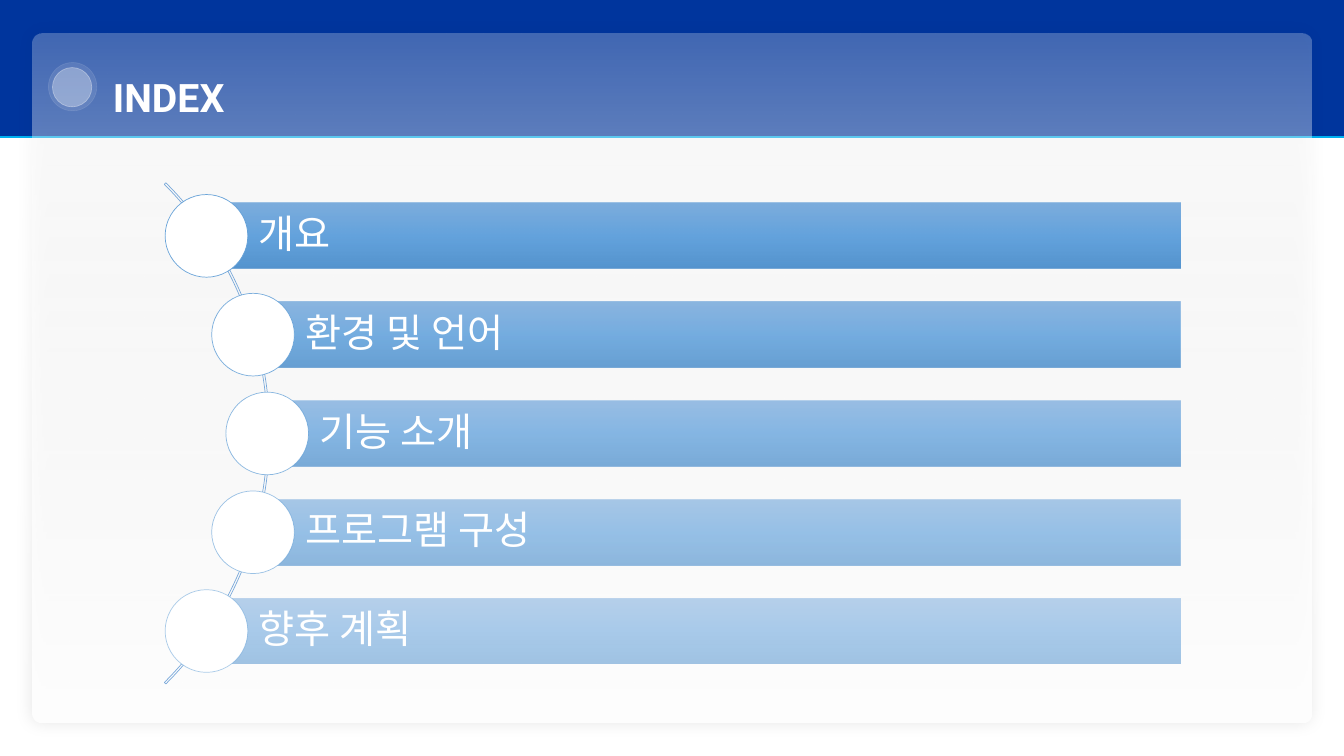
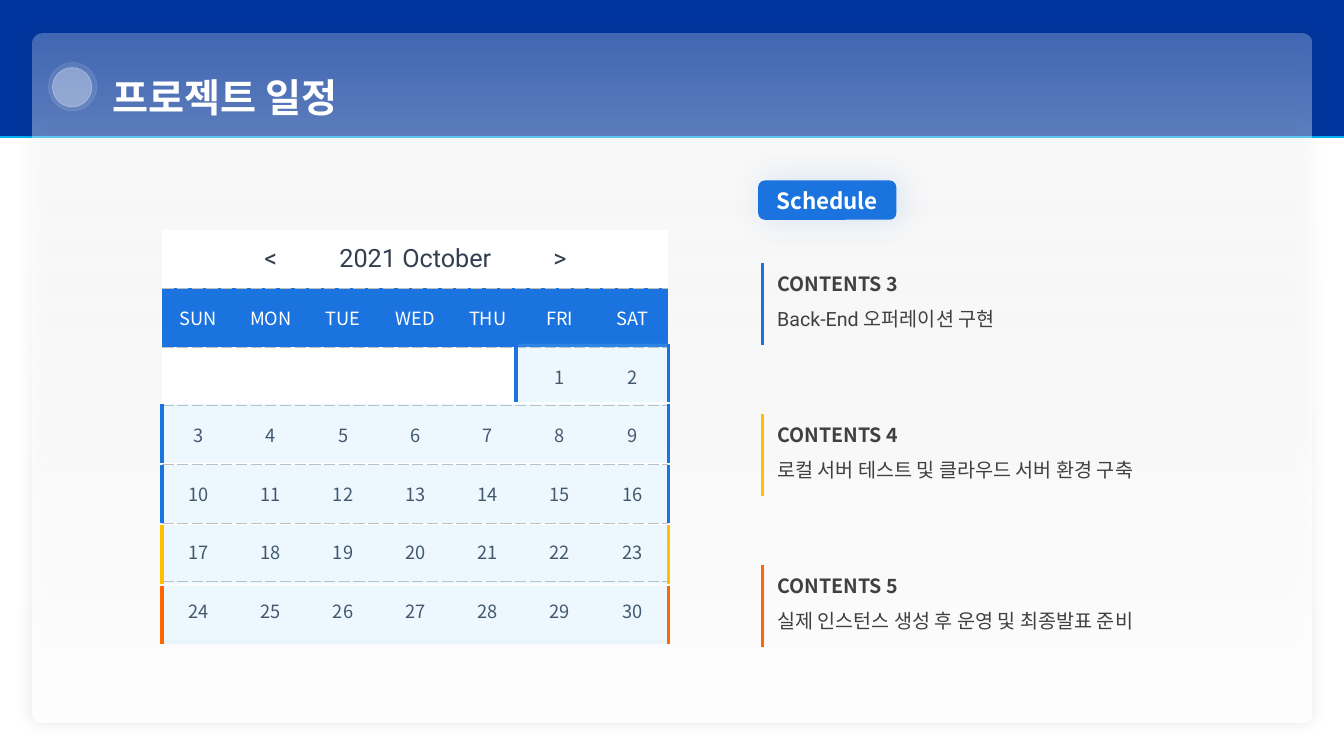
from dataclasses import dataclass
from math import sqrt

from lxml.etree import SubElement
from pptx import Presentation
from pptx.dml.color import RGBColor
from pptx.enum.shapes import MSO_CONNECTOR, MSO_SHAPE
from pptx.enum.text import MSO_ANCHOR, MSO_AUTO_SIZE, PP_ALIGN
from pptx.oxml.ns import qn
from pptx.util import Inches, Pt


@dataclass(frozen=True)
class Theme:
    width: float = 13.33
    height: float = 7.5
    latin: str = "Roboto"
    korean: str = "Noto Sans CJK KR"
    white: str = "FFFFFF"
    black: str = "000000"
    navy: str = "00359D"
    cyan: str = "00B0F0"
    blue: str = "1A73DE"
    yellow: str = "FFC000"
    orange: str = "FF6600"
    slate: str = "333F50"
    charcoal: str = "404040"
    grid: str = "BFBFBF"
    highlight: str = "93D6FD"
    arc: str = "7AA9DA"
    ring: str = "5B9BD5"
    bar: tuple = ("71A6DB", "559BDB", "448ACA")
    heading: int = 28
    month: int = 18
    label: int = 16
    body: int = 14
    day: int = 13


T = Theme()
NO_STYLE = "{2D5ABB26-0587-4C30-8999-92F81FD0307C}"

INDEX_TITLE = "INDEX"
INDEX = ["개요", "환경 및 언어", "기능 소개", "프로그램 구성", "향후 계획"]

SCHEDULE_TITLE = "프로젝트 일정"
SCHEDULE_LABEL = "Schedule"
MONTH = ["<", "2021 October", ">"]
WEEKDAYS = ["SUN", "MON", "TUE", "WED", "THU", "FRI", "SAT"]
FIRST_WEEKDAY, DAYS_SHOWN = 5, 30
PHASES = [
    ("CONTENTS 3", "Back-End 오퍼레이션 구현", T.blue),
    ("CONTENTS 4", "로컬 서버 테스트 및 클라우드 서버 환경 구축", T.yellow),
    ("CONTENTS 5", "실제 인스턴스 생성 후 운영 및 최종발표 준비", T.orange),
]
WEEK_COLOURS = [T.blue, T.blue, T.blue, T.yellow, T.orange]


def rgb(code):
    return RGBColor.from_string(code)


def box(*lengths):
    return [Inches(length) for length in lengths]


def fade(parent, percent):
    """Make every colour below parent partly transparent."""
    for colour in parent.iter(qn("a:srgbClr")):
        SubElement(colour, qn("a:alpha")).set("val", str(percent * 1000))


def add_shape(slide, preset, at, fill=None, alpha=100, line=None, line_alpha=100):
    shape = slide.shapes.add_shape(preset, *box(*at))
    shape.shadow.inherit = False
    props = shape._element.spPr
    if fill:
        shape.fill.solid()
        shape.fill.fore_color.rgb = rgb(fill)
        if alpha < 100:
            fade(props.find(qn("a:solidFill")), alpha)
    else:
        shape.fill.background()
    if line:
        shape.line.color.rgb = rgb(line)
        shape.line.width = Pt(0.5)
        if line_alpha < 100:
            fade(props.find(qn("a:ln")), line_alpha)
    else:
        shape.line.fill.background()
    return shape


def shade_down(shape, stops):
    """Fill from top to bottom with (position, colour, opacity) stops."""
    shape.fill.gradient()
    shape.fill.gradient_angle = 270
    stop_list = shape._element.spPr.find(".//" + qn("a:gsLst"))
    for old in list(stop_list):
        stop_list.remove(old)
    for position, code, alpha in stops:
        stop = SubElement(stop_list, qn("a:gs"), pos=str(position * 1000))
        SubElement(stop, qn("a:srgbClr"), val=code)
        fade(stop, alpha)


def cast_shadow(shape, code, alpha, blur, distance=0):
    effects = shape._element.spPr.find(qn("a:effectLst"))
    shadow = SubElement(effects, qn("a:outerShdw"), blurRad=str(Pt(blur)),
                        dist=str(Pt(distance)), dir="0", algn="ctr", rotWithShape="0")
    SubElement(shadow, qn("a:srgbClr"), val=code)
    fade(shadow, alpha)


def add_line(slide, start, end, code, width):
    line = slide.shapes.add_connector(MSO_CONNECTOR.STRAIGHT, *box(*start, *end))
    line.line.color.rgb = rgb(code)
    line.line.width = Pt(width)
    SubElement(line._element.spPr, qn("a:effectLst"))
    return line


def write(paragraph, text, size, colour, font=T.latin, bold=False,
          align=PP_ALIGN.LEFT, spacing=None):
    paragraph.alignment = align
    if spacing:
        paragraph.line_spacing = spacing
    run = paragraph.add_run()
    run.text = text
    run.font.size, run.font.bold, run.font.name = Pt(size), bold, font
    run.font.color.rgb = rgb(colour)
    SubElement(run._r.get_or_add_rPr(), qn("a:ea"), typeface=T.korean)


def set_borders(cell, sides, code, width, dash="solid"):
    """Draw the sides named by L, R, T, B, given in that order."""
    props = cell._tc.get_or_add_tcPr()
    for place, side in enumerate(sides):
        edge = SubElement(props, qn("a:ln" + side), w=str(Pt(width)))
        SubElement(SubElement(edge, qn("a:solidFill")), qn("a:srgbClr"), val=code)
        SubElement(edge, qn("a:prstDash"), val=dash)
        props.insert(place, edge)


def add_table(slide, rows, columns, at):
    frame = slide.shapes.add_table(rows, columns, *box(*at))
    table = frame.table
    table.first_row = table.horz_banding = False
    table._tbl.tblPr.find(qn("a:tableStyleId")).text = NO_STYLE
    return table


def fill_cell(cell, code):
    cell.fill.solid()
    cell.fill.fore_color.rgb = rgb(code)
    cell.vertical_anchor = MSO_ANCHOR.MIDDLE
    cell.margin_left = cell.margin_right = Inches(0.07)
    cell.margin_top = cell.margin_bottom = Inches(0.04)


def build_layout(prs):
    """Give the title-only layout the band, card, bullet and title place."""
    layout = prs.slide_layouts[5]
    for holder in list(layout.placeholders)[1:]:
        holder._element.getparent().remove(holder._element)
    title = layout.placeholders[0]
    title.left, title.top, title.width, title.height = box(1.02, 0.44, 8.83, 0.72)

    slide = prs.slides.add_slide(layout)
    band = add_shape(slide, MSO_SHAPE.RECTANGLE, (0, 0, T.width, 1.35), T.navy)
    rule = add_line(slide, (0, 1.36), (T.width, 1.36), T.cyan, 1.5)
    card = add_shape(slide, MSO_SHAPE.ROUNDED_RECTANGLE, (0.32, 0.33, 12.69, 6.84))
    card.adjustments[0] = 0.013
    shade_down(card, [(0, T.white, 26), (100, T.white, 100)])
    cast_shadow(card, T.black, 10, 12)
    halo = add_shape(slide, MSO_SHAPE.OVAL, (0.48, 0.62, 0.48, 0.48),
                     T.white, 10, T.white, 10)
    bullet = add_shape(slide, MSO_SHAPE.OVAL, (0.52, 0.67, 0.39, 0.39),
                       T.white, 30, T.white, 35)
    for place, part in enumerate((band, rule, card, halo, bullet), start=2):
        layout.shapes._spTree.insert(place, part._element)
    return layout, slide


def set_title(slide, text):
    frame = slide.shapes.title.text_frame
    frame.auto_size = MSO_AUTO_SIZE.NONE
    frame.vertical_anchor = MSO_ANCHOR.TOP
    write(frame.paragraphs[0], text, T.heading, T.white, bold=True, spacing=1.5)


def build_index(slide):
    set_title(slide, INDEX_TITLE)
    centre_x, centre_y, arc_size, orbit = -0.84, 4.3, 7.03, 3.49
    pitch, bar_height, disc, right = 0.98, 0.65, 0.82, 11.71
    arc = add_shape(slide, MSO_SHAPE.BLOCK_ARC,
                    (centre_x - arc_size / 2, centre_y - arc_size / 2, arc_size, arc_size),
                    line=T.arc)
    for place, value in enumerate((189, 27, 0.003)):
        arc.adjustments[place] = value
    for place, topic in enumerate(INDEX):
        offset = (place - (len(INDEX) - 1) / 2) * pitch
        x, y = centre_x + sqrt(orbit ** 2 - offset ** 2), centre_y + offset
        alpha = 90 - 10 * place
        bar = add_shape(slide, MSO_SHAPE.RECTANGLE,
                        (x, y - bar_height / 2, right - x, bar_height))
        shade_down(bar, [(50 * step, code, alpha) for step, code in enumerate(T.bar)])
        frame = bar.text_frame
        frame.word_wrap = True
        frame.vertical_anchor = MSO_ANCHOR.MIDDLE
        frame.margin_left = Inches(0.52)
        frame.margin_right = frame.margin_top = frame.margin_bottom = Inches(0.08)
        frame.paragraphs[0].space_after = Pt(10)
        write(frame.paragraphs[0], topic, T.heading, T.white, spacing=0.9)
        add_shape(slide, MSO_SHAPE.OVAL, (x - disc / 2, y - disc / 2, disc, disc),
                  T.white, line=T.ring, line_alpha=alpha)


def add_calendar(slide):
    left, top, width, height = 1.61, 2.28, 5.02, 4.07
    column = width / len(WEEKDAYS)
    blanks = [""] * FIRST_WEEKDAY
    days = blanks + [str(day) for day in range(1, DAYS_SHOWN + 1)]
    weeks = [days[i:i + 7] for i in range(0, len(days), 7)]
    grid = [[""] * 7, WEEKDAYS] + weeks
    table = add_table(slide, len(grid), 7, (left, top, width, height))
    for r, texts in enumerate(grid):
        for c, text in enumerate(texts):
            cell = table.cell(r, c)
            header = r == 1
            fill_cell(cell, T.blue if header else T.white)
            sides = ("T" if r else "") + ("B" if r < len(grid) - 1 else "")
            set_borders(cell, sides, T.grid, 0.25, "sysDash")
            if text:
                write(cell.text_frame.paragraphs[0], text, T.day,
                      T.white if header else T.slate, T.korean, align=PP_ALIGN.CENTER)

    month = table.cell(0, 0)
    month.merge(table.cell(0, 6))
    paragraph = month.text_frame.paragraphs[0]
    tabs = SubElement(paragraph._p.get_or_add_pPr(), qn("a:tabLst"))
    for c in (1, 3, 5):
        SubElement(tabs, qn("a:tab"), algn="ctr",
                   pos=str(Inches((c + 0.5) * column - 0.07)))
    write(paragraph, "".join("\t" + part for part in MONTH), T.month, T.slate)

    for week, code in enumerate(WEEK_COLOURS):
        span = width if week else 1.51
        marker = add_table(slide, 1, 1,
                           (left + width - span, 3.41 + 0.6 * week, span, 0.58))
        cell = marker.cell(0, 0)
        fill_cell(cell, T.highlight)
        fade(cell._tc.tcPr, 17)
        set_borders(cell, "LR", code, 3)


def build_schedule(slide):
    set_title(slide, SCHEDULE_TITLE)
    add_calendar(slide)
    label = add_shape(slide, MSO_SHAPE.ROUNDED_RECTANGLE, (7.52, 1.79, 1.37, 0.39), T.blue)
    cast_shadow(label, T.blue, 17, 23, 3)
    label.text_frame.vertical_anchor = MSO_ANCHOR.MIDDLE
    write(label.text_frame.paragraphs[0], SCHEDULE_LABEL, T.label, T.white,
          T.korean, True, PP_ALIGN.CENTER)
    for place, (name, task, code) in enumerate(PHASES):
        y = 2.61 + 1.5 * place
        add_line(slide, (7.56, y), (7.56, y + 0.81), code, 2.25)
        frame = slide.shapes.add_textbox(*box(7.61, y - 0.08, 4.67, 0.94)).text_frame
        frame.word_wrap = True
        write(frame.paragraphs[0], name, T.body, T.charcoal, T.korean, True, spacing=1.5)
        write(frame.add_paragraph(), task, T.body, T.charcoal, spacing=1.5)


def main():
    prs = Presentation()
    prs.slide_width, prs.slide_height = box(T.width, T.height)
    layout, index_slide = build_layout(prs)
    build_index(index_slide)
    build_schedule(prs.slides.add_slide(layout))
    prs.save("out.pptx")


if __name__ == "__main__":
    main()
